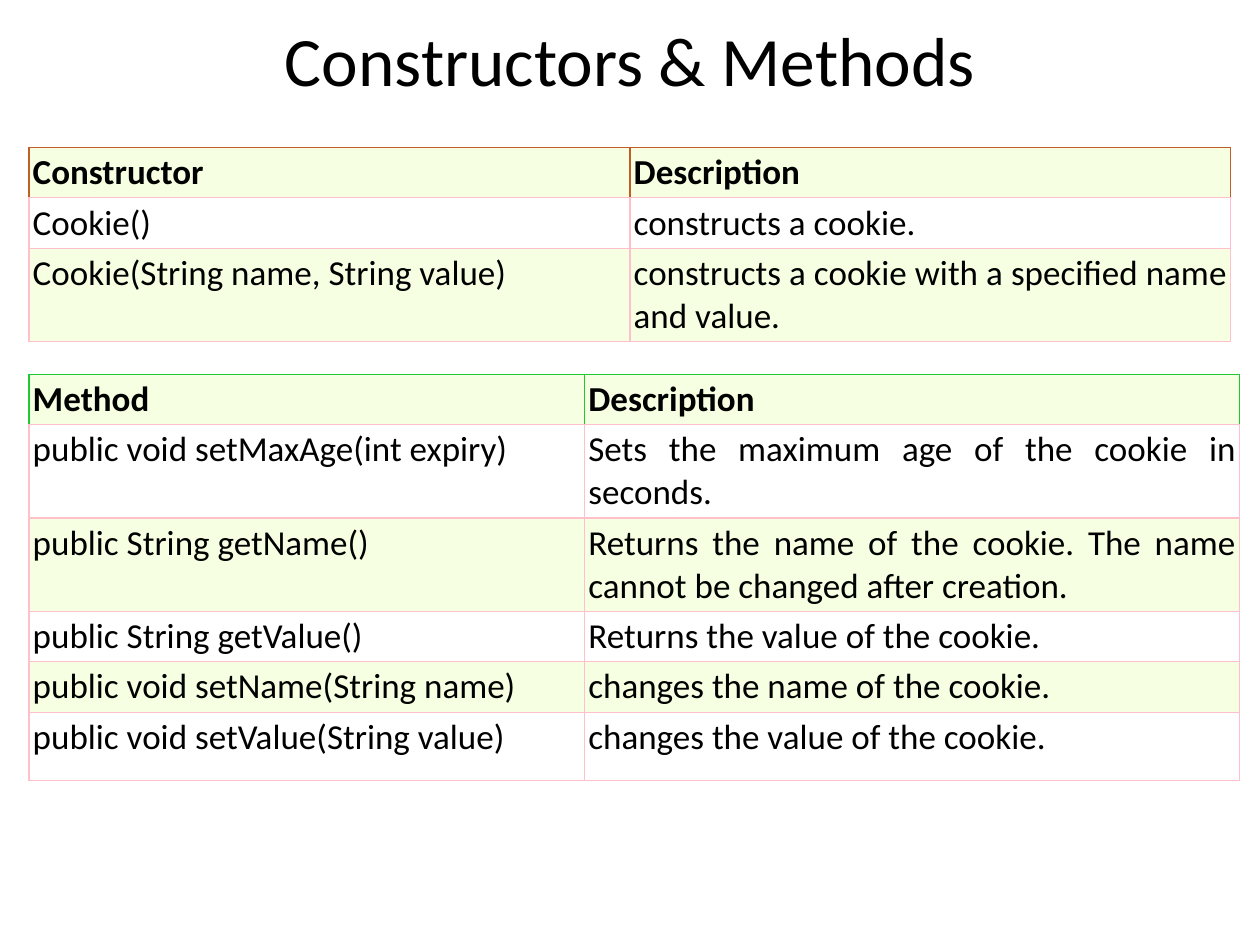
import pptx
import pptx.dml.color
import pptx.enum.text
import pptx.oxml
import pptx.oxml.ns
import pptx.util
from pptx.util import Inches

BLACK = pptx.dml.color.RGBColor(0x00, 0x00, 0x00)
WHITE = pptx.dml.color.RGBColor(0xFF, 0xFF, 0xFF)
LIME = pptx.dml.color.RGBColor(0xF6, 0xFF, 0xE1)
PINK = pptx.dml.color.RGBColor(0xFF, 0xC0, 0xCB)
BROWN = pptx.dml.color.RGBColor(0xC0, 0x5E, 0x28)
GREEN = pptx.dml.color.RGBColor(0x20, 0xC9, 0x33)

ALIGN = pptx.enum.text.PP_ALIGN
ANCHOR = pptx.enum.text.MSO_ANCHOR
TITLE_FONT = {"name": "Calibri", "size": pptx.util.Pt(39.6), "bold": False}
HEADER_FONT = {"name": "Calibri", "size": pptx.util.Pt(20), "bold": True}
BODY_FONT = {**HEADER_FONT, "bold": False}
CELL_MARGINS = {
    f"margin_{side}": Inches(0.03) for side in ("left", "right", "top", "bottom")
}

CONSTRUCTORS = [
    ("Constructor", "Description"),
    ("Cookie()", "constructs a cookie."),
    ("Cookie(String name, String value)",
     "constructs a cookie with a specified name and value."),
]
METHODS = [
    ("Method", "Description"),
    ("public void setMaxAge(int expiry)",
     "Sets the maximum age of the cookie in seconds."),
    ("public String getName()",
     "Returns the name of the cookie. The name cannot be changed after creation."),
    ("public String getValue()", "Returns the value of the cookie."),
    ("public void setName(String name)", "changes the name of the cookie."),
    ("public void setValue(String value)", "changes the value of the cookie."),
]


def apply(target, values):
    for name, value in values.items():
        setattr(target, name, value)


def write(paragraph, text, font, alignment):
    paragraph.text = text
    paragraph.alignment = alignment
    apply(paragraph.font, font)
    paragraph.font.color.rgb = BLACK


def set_borders(cell, colors):
    properties = cell._tc.get_or_add_tcPr()
    for side in "LRTB":
        properties.append(pptx.oxml.parse_xml(
            f'<a:ln{side} {pptx.oxml.ns.nsdecls("a")} w="{pptx.util.Pt(0.75)}">'
            f'<a:solidFill><a:srgbClr val="{colors[side]}"/></a:solidFill>'
            f'</a:ln{side}>'))


def add_title(slide, text, left, top, width, height):
    title = slide.shapes.title
    apply(title, {"left": left, "top": top, "width": width, "height": height})
    apply(title.text_frame, {"word_wrap": True, "vertical_anchor": ANCHOR.MIDDLE})
    write(title.text_frame.paragraphs[0], text, TITLE_FONT, ALIGN.CENTER)


def add_reference_table(slide, entries, left, top, widths, heights, header_color):
    table = slide.shapes.add_table(
        len(entries), len(widths), left, top, sum(widths), sum(heights)).table
    for column, width in zip(table.columns, widths):
        column.width = width
    for row_index, (row, height) in enumerate(zip(table.rows, heights)):
        row.height = height
        is_header = row_index == 0
        edge = header_color if is_header else PINK
        top_edge = edge
        for cell, text in zip(row.cells, entries[row_index]):
            apply(cell, CELL_MARGINS)
            set_borders(cell, {"L": edge, "R": edge, "T": top_edge, "B": PINK})
            cell.fill.solid()
            cell.fill.fore_color.rgb = WHITE if row_index % 2 else LIME
            write(cell.text_frame.paragraphs[0], text,
                  HEADER_FONT if is_header else BODY_FONT,
                  ALIGN.LEFT if is_header else ALIGN.JUSTIFY)


def main():
    presentation = pptx.Presentation()
    presentation.slide_width = Inches(10)
    presentation.slide_height = Inches(7.5)
    slide = presentation.slides.add_slide(presentation.slide_layouts[5])
    single, double, last = Inches(0.26), Inches(0.45), Inches(0.54)

    add_title(slide, "Constructors & Methods",
              Inches(0.5), Inches(0.16), Inches(9), Inches(0.62))
    add_reference_table(slide, CONSTRUCTORS, Inches(0.23), Inches(1.17),
                        [Inches(4.77)] * 2, [single, single, double], BROWN)
    add_reference_table(slide, METHODS, Inches(0.23), Inches(2.97),
                        [Inches(4.41), Inches(5.2)],
                        [single, double, double, single, single, last], GREEN)
    presentation.save("out.pptx")


if __name__ == "__main__":
    main()
